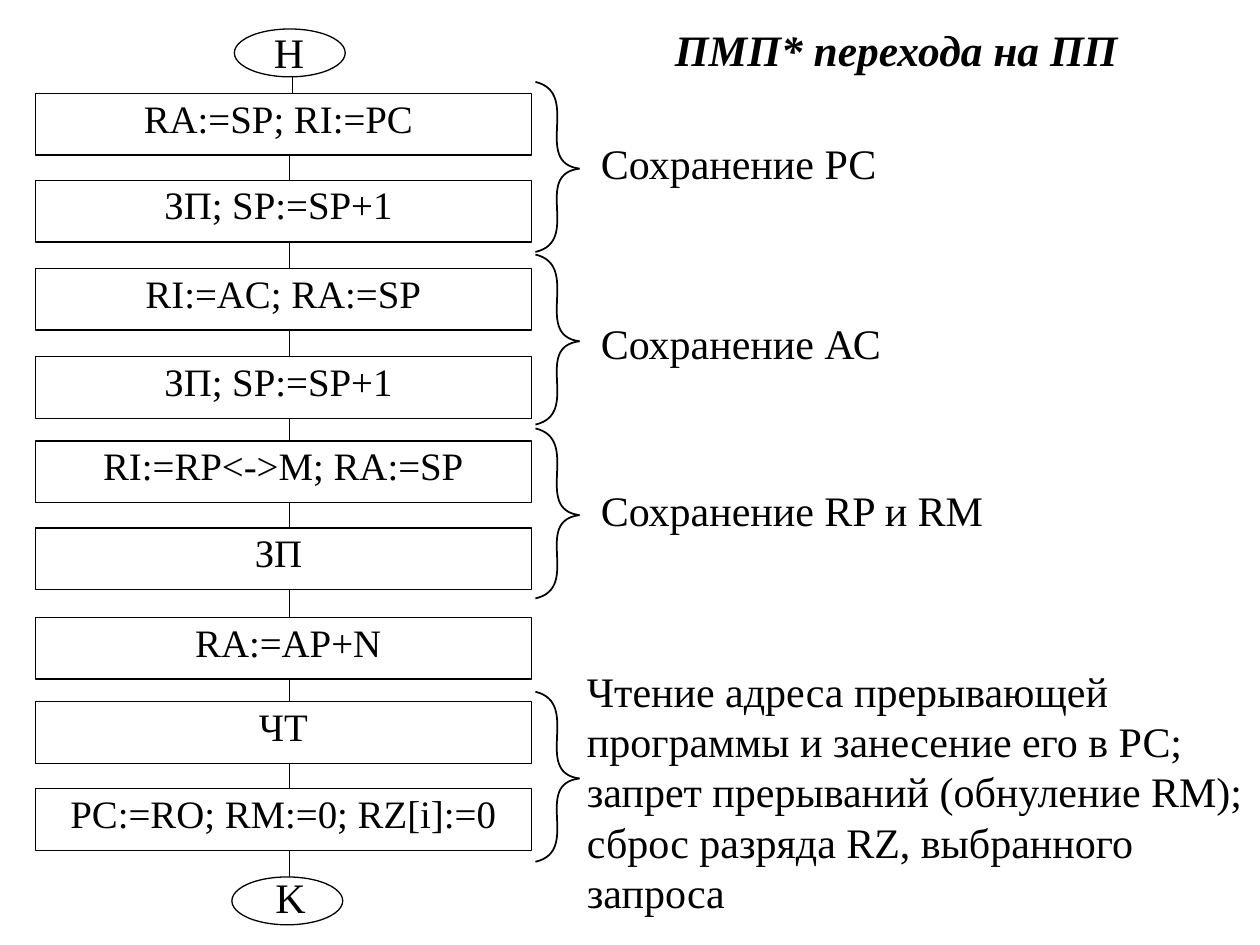
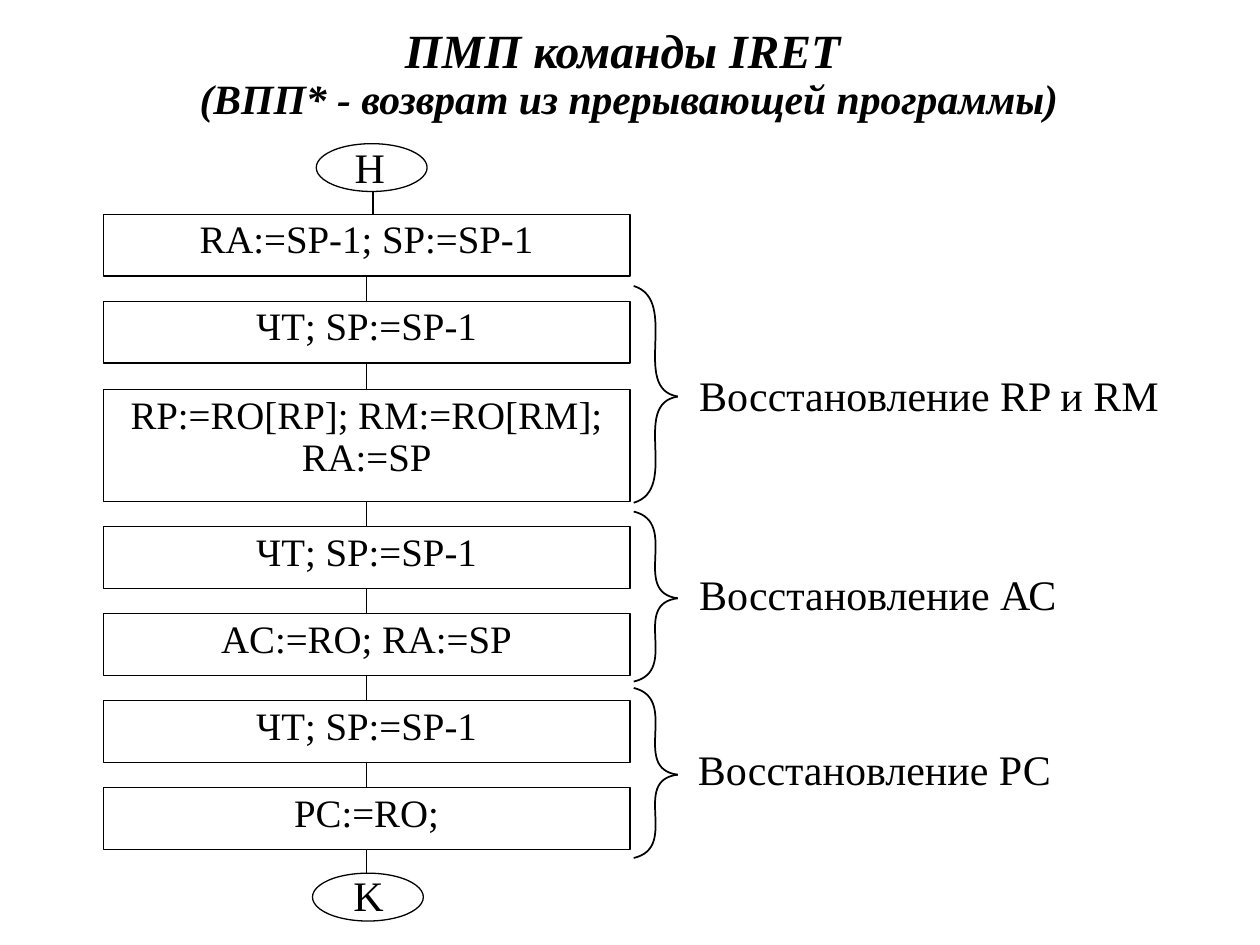
from lxml import etree
from pptx import Presentation
from pptx.dml.color import RGBColor
from pptx.enum.shapes import MSO_CONNECTOR, MSO_SHAPE
from pptx.enum.text import MSO_ANCHOR, MSO_AUTO_SIZE, PP_ALIGN
from pptx.oxml.ns import qn
from pptx.util import Inches, Pt

LEFT, CENTER = PP_ALIGN.LEFT, PP_ALIGN.CENTER
TOP, MIDDLE = MSO_ANCHOR.TOP, MSO_ANCHOR.MIDDLE
NO_AUTOFIT = MSO_AUTO_SIZE.NONE
RECTANGLE, OVAL, STRAIGHT = MSO_SHAPE.RECTANGLE, MSO_SHAPE.OVAL, MSO_CONNECTOR.STRAIGHT

# Content: terminals are (text, oval left, oval top, text left, text top),
# steps are (top, height, text), braces are (top, height),
# labels are (left, top, width, height, paragraphs)
STEP_H, BRACE_H = 0.49, 1.35
FLOWS = [
    {
        "title": [("ПМП* перехода на ПП", 24.8)],
        "title_at": (4.69, 0.16, 4.85, 0.54), "title_spacing": 0.8,
        "start": ("Н", 1.86, 0.23, 1.71, 0.16), "end": ("K", 1.84, 6.96, 1.72, 6.87),
        "steps_x": 0.28, "steps_width": 3.94, "entry_x": 2.32, "spine_x": 2.3,
        "steps": [
            (0.74, STEP_H, "RA:=SP; RI:=PC "),
            (1.43, STEP_H, "ЗП; SP:=SP+1 "),
            (2.13, STEP_H, "RI:=AC; RA:=SP"),
            (2.83, STEP_H, "ЗП; SP:=SP+1 "),
            (3.5, STEP_H, "RI:=RP<->M; RA:=SP"),
            (4.19, STEP_H, "ЗП "),
            (4.9, STEP_H, " RA:=AP+N"),
            (5.57, STEP_H, "ЧТ"),
            (6.26, STEP_H, "PC:=RO; RM:=0; RZ[i]:=0")],
        "brace_x": 4.25,
        "braces": [(0.65, BRACE_H), (2.02, BRACE_H), (3.4, BRACE_H), (5.49, BRACE_H)],
        "labels": [
            (4.67, 1.04, 4.62, 0.5, ["Сохранение РС"]),
            (4.67, 2.47, 4.57, 0.5, ["Сохранение АС"]),
            (4.67, 3.8, 4.57, 0.5, ["Сохранение RP и RM"]),
            (4.56, 5.23, 5.44, 2.16, [
                "Чтение адреса прерывающей программы и занесение его в РС;",
                "запрет прерываний (обнуление RM);",
                "сброс разряда RZ, выбранного запроса"]),
        ],
    },
    {
        "title": [("ПМП команды IRET ", 27.2),
                  ("(ВПП* - возврат из прерывающей программы)", 23.8)],
        "title_at": (0.25, 0.09, 9.48, 1.02), "title_spacing": 0.9,
        "start": ("Н", 2.51, 1.14, 2.35, 1.07), "end": ("K", 2.48, 6.93, 2.34, 6.85),
        "steps_x": 0.82, "steps_width": 4.18, "entry_x": 2.96, "spine_x": 2.93,
        "steps": [
            (1.7, STEP_H, "RA:=SP-1; SP:=SP-1"),
            (2.39, STEP_H, "ЧТ; SP:=SP-1"),
            (3.09, 0.89, "RP:=RO[RP]; RM:=RO[RM]; RA:=SP"),
            (4.18, STEP_H, "ЧТ; SP:=SP-1"),
            (4.87, STEP_H, "AC:=RO; RA:=SP"),
            (5.56, STEP_H, "ЧТ; SP:=SP-1"),
            (6.25, STEP_H, "PC:=RO;")],
        "brace_x": 5.03,
        "braces": [(2.27, 1.72), (4.06, BRACE_H), (5.46, BRACE_H)],
        "labels": [
            (5.45, 2.88, 4.08, 0.5, ["Восстановление RP и RM"]),
            (5.45, 4.46, 4.03, 0.5, ["Восстановление АС"]),
            (5.44, 5.85, 4.21, 0.64, ["Восстановление РС"]),
        ],
    },
]

# Shared look
COLORS = {"ink": "000000", "paper": "FFFFFF"}
FONT = "Times New Roman"
OVAL_SIZE, TERMINAL_TEXT_SIZE = (0.88, 0.38), (1.17, 0.52)
BRACE_DEPTH, BRACE_MID = 0.35, 0.51
JOIN_TOLERANCE = 0.03
STEP_FORMAT = {"size": 22.2, "align": CENTER, "spacing": 0.9}
TERMINAL_FORMAT = {"size": 24, "align": CENTER}
LABEL_FORMAT = {"size": 24, "align": LEFT}
INSETS = {"margin_left": 0.1, "margin_right": 0.1, "margin_top": 0.05, "margin_bottom": 0.05}


def color(name):
    return RGBColor.from_string(COLORS[name])


def set_frame(frame, anchor):
    frame.word_wrap = True
    frame.auto_size = NO_AUTOFIT
    frame.vertical_anchor = anchor
    for side, inset in INSETS.items():
        setattr(frame, side, Inches(inset))


def set_font(run, size, **styles):
    values = {"name": FONT, "size": Pt(size), **styles}
    for key, value in values.items():
        setattr(run.font, key, value)
    run.font.color.rgb = color("ink")


def write(frame, paragraphs, size, align, spacing=1.0):
    set_frame(frame, TOP)
    for i, text in enumerate(paragraphs):
        paragraph = frame.add_paragraph() if i else frame.paragraphs[0]
        paragraph.alignment, paragraph.line_spacing = align, spacing
        run = paragraph.add_run()
        run.text = text
        set_font(run, size)


def outline(shape, width=0.75):
    shape.shadow.inherit = False
    shape.fill.background()
    shape.line.color.rgb = color("ink")
    shape.line.width = Pt(width)
    return shape


def add_title(slide, flow):
    title = slide.shapes.title
    title.left, title.top, title.width, title.height = map(Inches, flow["title_at"])
    set_frame(title.text_frame, MIDDLE)
    paragraph = title.text_frame.paragraphs[0]
    paragraph.alignment, paragraph.line_spacing = CENTER, flow["title_spacing"]
    for i, (text, size) in enumerate(flow["title"]):
        if i:
            paragraph.add_line_break()
        run = paragraph.add_run()
        run.text = text
        set_font(run, size, bold=True, italic=True)


def add_text(slide, box, paragraphs, text_format):
    caption = slide.shapes.add_textbox(*map(Inches, box))
    write(caption.text_frame, paragraphs, **text_format)


def add_terminal(slide, text, x, y, text_x, text_y):
    outline(slide.shapes.add_shape(OVAL, *map(Inches, (x, y, *OVAL_SIZE))))
    add_text(slide, (text_x, text_y, *TERMINAL_TEXT_SIZE), [text], TERMINAL_FORMAT)


def add_step(slide, text, *box):
    step = outline(slide.shapes.add_shape(RECTANGLE, *map(Inches, box)))
    write(step.text_frame, [text], **STEP_FORMAT)
    return step


def add_link(slide, x, y1, y2):
    link = slide.shapes.add_connector(STRAIGHT, *map(Inches, (x, y1, x, y2)))
    link.line.color.rgb = color("ink")
    link.line.width = Pt(0.75)
    etree.SubElement(link._element.spPr, qn("a:effectLst"))
    return link


def add_curve(shapes, points):
    """Draw one cubic curve from its start, two control points and end."""
    start, *rest = [(Inches(x), Inches(y)) for x, y in points]
    builder = shapes.build_freeform(*start, scale=1.0)
    builder.add_line_segments(rest, close=False)
    curve = outline(builder.convert_to_shape(), width=1)
    segments = list(curve._element.iter(qn("a:lnTo")))
    outline_path = segments[0].getparent()
    cubic = etree.SubElement(outline_path, qn("a:cubicBezTo"))
    for segment in segments:
        cubic.append(segment[0])
        outline_path.remove(segment)


def add_brace(slide, x, top, height):
    tip_x, tip_y = x + BRACE_DEPTH, top + height * BRACE_MID
    brace = slide.shapes.add_group_shape()
    for end_y in (top, top + height):
        reach = end_y - tip_y
        add_curve(brace.shapes, [
            (tip_x, tip_y), (x - 0.03, tip_y + 0.07 * reach),
            (tip_x + 0.02, end_y - 0.13 * reach), (x, end_y)])


def build_flow(slide, flow):
    add_title(slide, flow)

    # Column of steps
    x, width, spine_x = flow["steps_x"], flow["steps_width"], flow["spine_x"]
    steps = [add_step(slide, text, x, top, width, height)
             for top, height, text in flow["steps"]]

    # Start and end, with the links between all parts
    add_terminal(slide, *flow["start"])
    add_terminal(slide, *flow["end"])
    tops = [top for top, _, _ in flow["steps"]] + [flow["end"][2]]
    add_link(slide, flow["entry_x"], flow["start"][2] + OVAL_SIZE[1], tops[0])
    centred = abs(x + width / 2 - spine_x) < JOIN_TOLERANCE
    for i, (top, height, _) in enumerate(flow["steps"]):
        link = add_link(slide, spine_x, top + height, tops[i + 1])
        if centred:
            link.begin_connect(steps[i], 2)
            if i + 1 < len(steps):
                link.end_connect(steps[i + 1], 0)
            else:
                link.end_x = link.begin_x

    # Braces and what they explain
    for top, height in flow["braces"]:
        add_brace(slide, flow["brace_x"], top, height)
    for *box, paragraphs in flow["labels"]:
        add_text(slide, box, paragraphs, LABEL_FORMAT)


def main():
    deck = Presentation()
    deck.slide_width, deck.slide_height = Inches(10), Inches(7.5)
    title_only = deck.slide_layouts[5]
    background = deck.slide_master.background.fill
    background.solid()
    background.fore_color.rgb = color("paper")
    for flow in FLOWS:
        build_flow(deck.slides.add_slide(title_only), flow)
    deck.save("out.pptx")


if __name__ == "__main__":
    main()
